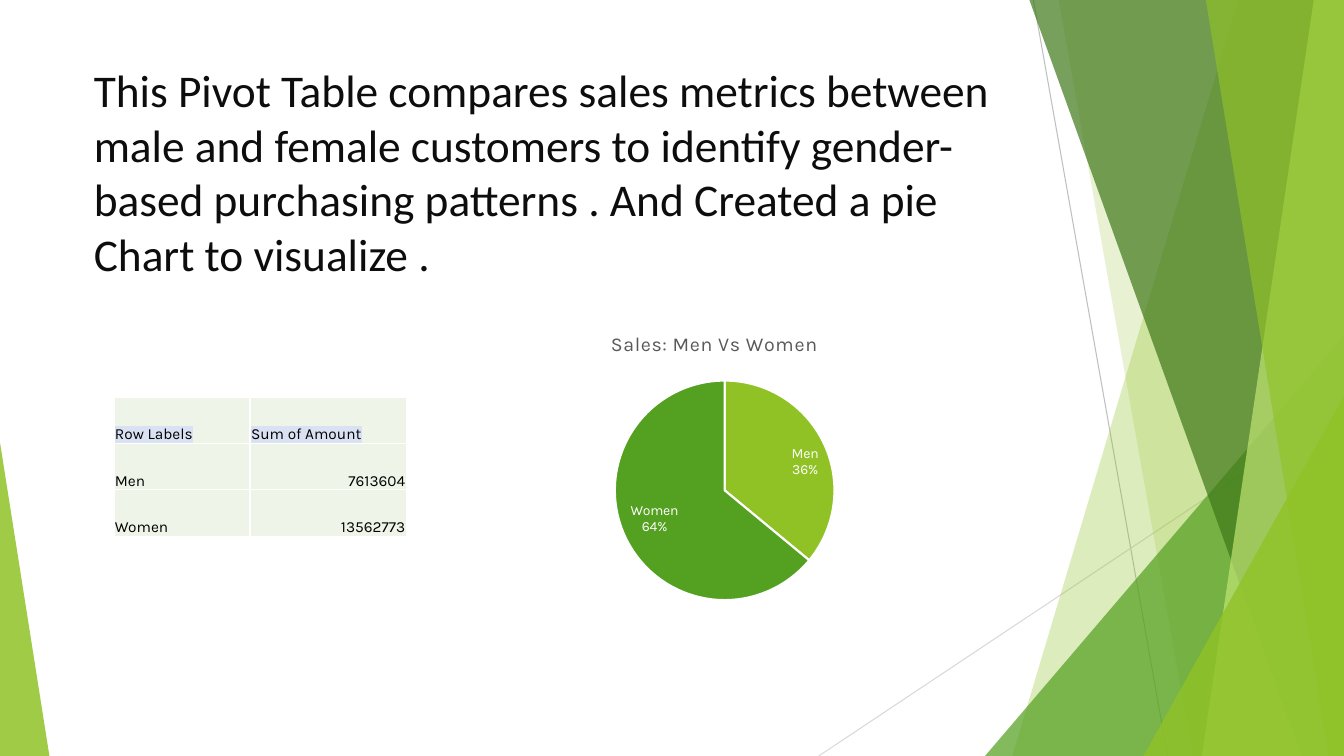
import pptx
import pptx.chart.data
import pptx.dml.color
import pptx.enum.chart
import pptx.enum.shapes
import pptx.enum.text
import pptx.oxml
import pptx.oxml.ns
import pptx.util
from lxml import etree

Inches, Pt = pptx.util.Inches, pptx.util.Pt
RGB = pptx.dml.color.RGBColor.from_string
qn = pptx.oxml.ns.qn
WIDTH, HEIGHT = 13.33, 7.5
COLORS = {
    "lime": "90C226", "green": "54A021", "forest": "3F7819", "pale": "C0E474",
    "grey": "BFBFBF", "silver": "D9D9D9", "ink": "0D0D0D", "black": "000000",
    "white": "FFFFFF", "cell": "EEF4E8", "header": "D9E1F2", "caption": "595959",
}


def style_font(font, size, color, name="Karla"):
    font.size, font.name, font.bold = Pt(size), name, False
    font.color.rgb = RGB(COLORS[color])


def paint(shape, color, opacity):
    """Give a shape a see-through fill with no line and no shadow."""
    shape.shadow.inherit = False
    shape.line.fill.background()
    shape.fill.solid()
    shape.fill.fore_color.rgb = RGB(COLORS[color])
    tint = shape.fill._xPr.find(".//" + qn("a:srgbClr"))
    etree.SubElement(tint, qn("a:alpha")).set("val", str(opacity * 1000))


deck = pptx.Presentation()
deck.slide_width, deck.slide_height = Inches(WIDTH), Inches(HEIGHT)
page = deck.slides.add_slide(deck.slide_layouts[5])

# Thin lines behind the facets
for x1, y1, x2, y2, color in [
    (10.25, 0, 11.58, HEIGHT, "grey"),
    (WIDTH, 4.03, 8.12, HEIGHT, "silver"),
]:
    line = page.shapes.add_connector(
        pptx.enum.shapes.MSO_CONNECTOR.STRAIGHT,
        Inches(x1), Inches(y1), Inches(x2), Inches(y2))
    line.line.color.rgb = RGB(COLORS[color])
    line.line.width = Pt(0.75)
    etree.SubElement(line._element.spPr, qn("a:effectLst"))

# Facets from back to front: slabs run from a top x to a bottom x and fill to
# the right edge; triangles stand on the bottom edge.
for kind, *place, color, opacity in [
    ("slab", 12.28, 10.04, "lime", 30),
    ("slab", 10.5, 11.83, "lime", 20),
    ("triangle", 9.77, 3.56, 4.17, 1, "green", 72),
    ("slab", 10.21, 12.91, "forest", 70),
    ("slab", 13.03, 11.92, "pale", 70),
    ("slab", 11.96, 13.18, "lime", 65),
    ("triangle", 11.34, 1.99, 3.57, 1, "lime", 80),
    ("triangle", 0, 0.49, 3.11, 0, "lime", 85),
]:
    if kind == "slab":
        top_x, bottom_x = place
        outline = page.shapes.build_freeform(Inches(top_x), 0)
        outline.add_line_segments(
            [(Inches(x), Inches(y)) for x, y in
             [(WIDTH, 0), (WIDTH, HEIGHT), (bottom_x, HEIGHT)]], close=True)
        facet = outline.convert_to_shape()
    else:
        left, width, height, apex = place
        facet = page.shapes.add_shape(
            pptx.enum.shapes.MSO_SHAPE.ISOSCELES_TRIANGLE,
            Inches(left), Inches(HEIGHT - height), Inches(width), Inches(height))
        facet.adjustments[0] = apex
    paint(facet, color, opacity)

# Title
title = page.shapes.title
title.left, title.top = Inches(0.83), Inches(0.57)
title.width, title.height = Inches(9.4), Inches(2.25)
frame = title.text_frame
frame.text = ("This Pivot Table compares sales metrics between male and female "
              "customers to identify gender-based purchasing patterns . "
              "And Created a pie Chart to visualize .")
frame.word_wrap = True
frame.auto_size = pptx.enum.text.MSO_AUTO_SIZE.NONE
frame.vertical_anchor = pptx.enum.text.MSO_ANCHOR.TOP
para = frame.paragraphs[0]
para.alignment = pptx.enum.text.PP_ALIGN.LEFT
style_font(para.runs[0].font, 32.4, "ink", "Calibri")

# Pivot table
ROWS = [("Row Labels", "Sum of Amount"), ("Men", "7613604"), ("Women", "13562773")]
COLUMN_WIDTHS, ROW_HEIGHT = (1.35, 1.55), 0.46
table = page.shapes.add_table(
    len(ROWS), len(COLUMN_WIDTHS), Inches(1.13), Inches(3.94),
    Inches(sum(COLUMN_WIDTHS)), Inches(ROW_HEIGHT * len(ROWS))).table
for column, width in zip(table.columns, COLUMN_WIDTHS):
    column.width = Inches(width)
for r, texts in enumerate(ROWS):
    table.rows[r].height = Inches(ROW_HEIGHT)
    for c, text in enumerate(texts):
        cell = table.cell(r, c)
        cell.text = text
        cell.vertical_anchor = pptx.enum.text.MSO_ANCHOR.BOTTOM
        cell.margin_left = cell.margin_right = cell.margin_top = Inches(0.01)
        cell.margin_bottom = 0
        cell.fill.solid()
        cell.fill.fore_color.rgb = RGB(COLORS["cell"])
        para = cell.text_frame.paragraphs[0]
        span = para.runs[0]
        style_font(span.font, 11, "black")
        if r == 0:
            highlight = etree.Element(qn("a:highlight"))
            etree.SubElement(highlight, qn("a:srgbClr")).set("val", COLORS["header"])
            span._r.rPr.find(qn("a:solidFill")).addnext(highlight)
        elif c == 1:
            para.alignment = pptx.enum.text.PP_ALIGN.RIGHT
        for i, side in enumerate(("lnL", "lnR", "lnT", "lnB")):
            border = etree.Element(qn("a:" + side), w=str(Pt(1)))
            fill = etree.SubElement(border, qn("a:solidFill"))
            etree.SubElement(fill, qn("a:srgbClr")).set("val", COLORS["white"])
            cell._tc.tcPr.insert(i, border)

# Pie chart
sales = pptx.chart.data.CategoryChartData()
sales.categories = ["Men", "Women"]
sales.add_series("Series 1", (36, 64))
chart = page.shapes.add_chart(
    pptx.enum.chart.XL_CHART_TYPE.PIE, Inches(5.03), Inches(3.14),
    Inches(4.11), Inches(3), sales).chart
style_font(chart.font, 10, "black")
chart.has_legend = False
chart.has_title = True
chart.chart_title.text_frame.text = "Sales: Men Vs Women"
span = chart.chart_title.text_frame.paragraphs[0].runs[0]
style_font(span.font, 14, "caption")
span._r.rPr.set("spc", "30")

plot = chart.plots[0]
plot.vary_by_categories = True
for i, color in enumerate(("lime", "green")):
    slice_format = plot.series[0].points[i].format
    slice_format.fill.solid()
    slice_format.fill.fore_color.rgb = RGB(COLORS[color])
    slice_format.line.color.rgb = RGB(COLORS["white"])
    slice_format.line.width = Pt(1.5)

plot.has_data_labels = True
labels = plot.data_labels
labels.show_category_name = labels.show_percentage = True
labels.show_value = False
labels.number_format, labels.number_format_is_linked = "0%", False
labels.position = pptx.enum.chart.XL_LABEL_POSITION.INSIDE_END
style_font(labels.font, 10, "white")
separator = etree.SubElement(labels._element, qn("c:separator"))
separator.text = "\n"
labels._element.find(qn("c:showBubbleSize")).addnext(separator)

# Pie position as shares of the chart area
plot_area = chart._chartSpace.chart.plotArea
for old in plot_area.findall(qn("c:layout")):
    plot_area.remove(old)
layout = etree.Element(qn("c:layout"))
manual = etree.SubElement(layout, qn("c:manualLayout"))
for tag, value in [("layoutTarget", "inner"), ("xMode", "edge"), ("yMode", "edge"),
                   ("x", 0.26), ("y", 0.21), ("w", 0.53), ("h", 0.73)]:
    etree.SubElement(manual, qn("c:" + tag)).set("val", str(value))
plot_area.insert(0, layout)

deck.save("out.pptx")
